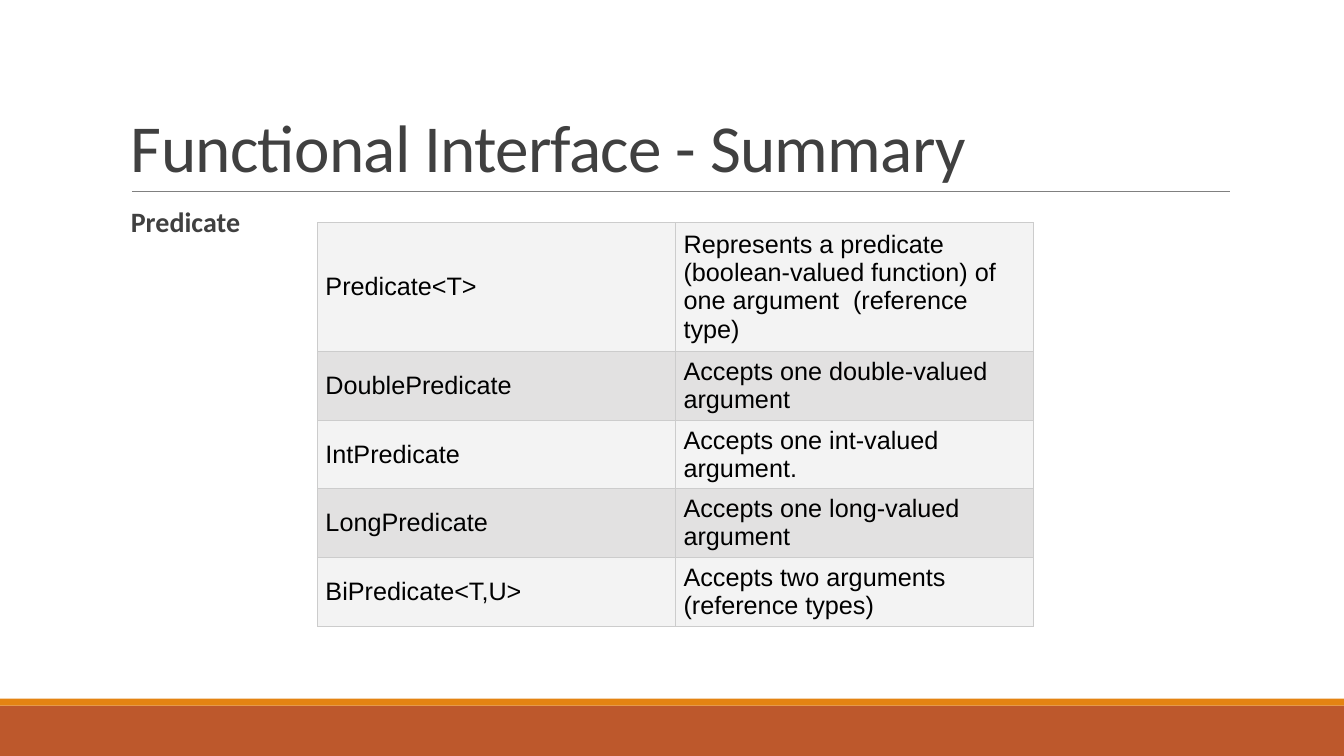
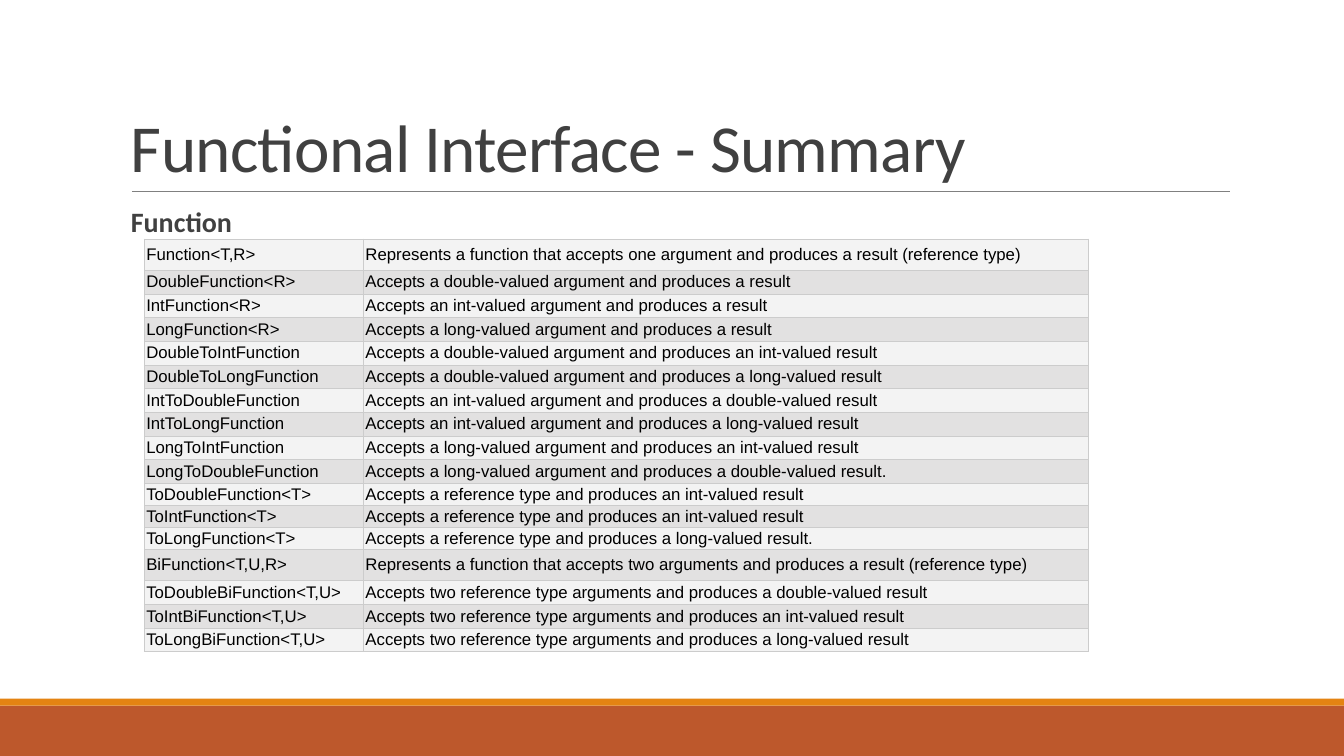
import pptx
import pptx.dml.color
import pptx.enum.shapes
import pptx.enum.text
import pptx.oxml.ns
import pptx.util
from lxml import etree

Pt = pptx.util.Pt
ANCHOR = pptx.enum.text.MSO_ANCHOR

COLORS = {
    "band": "BD582C",
    "stripe": "E48312",
    "rule": "808080",
    "heading": "404040",
    "cell_text": "000000",
    "odd_row": "F3F3F3",
    "even_row": "E2E1E1",
    "border": "CCCCCC",
}
PAGE_WIDTH, PAGE_HEIGHT = 960, 540
BAND_HEIGHT, STRIPE_HEIGHT = 36, 5
CONTENT_LEFT, CONTENT_WIDTH = 86.4, 792
RULE_LEFT, RULE_RIGHT, RULE_TOP = 94.3, 878.8, 136.8
HEADING_FONT, TABLE_FONT = "Calibri", "Arial"
TITLE = "Functional Interface - Summary"

PREDICATES = [
    ("Predicate<T>", "Represents a predicate (boolean-valued function) of one argument  (reference type)"),
    ("DoublePredicate", "Accepts one double-valued argument"),
    ("IntPredicate", "Accepts one int-valued argument."),
    ("LongPredicate", "Accepts one long-valued argument"),
    ("BiPredicate<T,U>", "Accepts two arguments  (reference types)"),
]
FUNCTIONS = [
    ("Function<T,R>", "Represents a function that accepts one argument and produces a result (reference type)"),
    ("DoubleFunction<R>", "Accepts a double-valued argument and produces a result"),
    ("IntFunction<R>", "Accepts an int-valued argument and produces a result"),
    ("LongFunction<R>", "Accepts a long-valued argument and produces a result"),
    ("DoubleToIntFunction", "Accepts a double-valued argument and produces an int-valued result"),
    ("DoubleToLongFunction", "Accepts a double-valued argument and produces a long-valued result"),
    ("IntToDoubleFunction", "Accepts an int-valued argument and produces a double-valued result"),
    ("IntToLongFunction", "Accepts an int-valued argument and produces a long-valued result"),
    ("LongToIntFunction", "Accepts a long-valued argument and produces an int-valued result"),
    ("LongToDoubleFunction", "Accepts a long-valued argument and produces a double-valued result."),
    ("ToDoubleFunction<T>", "Accepts a reference type and produces an int-valued result"),
    ("ToIntFunction<T>", "Accepts a reference type and produces an int-valued result"),
    ("ToLongFunction<T>", "Accepts a reference type and produces a long-valued result."),
    ("BiFunction<T,U,R>", "Represents a function that accepts two arguments and produces a result (reference type)"),
    ("ToDoubleBiFunction<T,U>", "Accepts two reference type arguments and produces a double-valued result"),
    ("ToIntBiFunction<T,U>", "Accepts two reference type arguments and produces an int-valued result"),
    ("ToLongBiFunction<T,U>", "Accepts two reference type arguments and produces a long-valued result"),
]


def color(name):
    return pptx.dml.color.RGBColor.from_string(COLORS[name])


def paint(target, name):
    target.fill.solid()
    target.fill.fore_color.rgb = color(name)


def style_span(span, font, size, color_name, bold=False):
    span.font.name = font
    span.font.size = Pt(size)
    span.font.bold = bold
    span.font.color.rgb = color(color_name)


def add_bar(page, top, height, color_name):
    bar = page.shapes.add_shape(pptx.enum.shapes.MSO_SHAPE.RECTANGLE,
                                0, Pt(top), Pt(PAGE_WIDTH), Pt(height))
    bar.shadow.inherit = False
    paint(bar, color_name)
    bar.line.fill.background()


def add_rule(page, left, right, top):
    rule = page.shapes.add_connector(pptx.enum.shapes.MSO_CONNECTOR.STRAIGHT,
                                     Pt(left), Pt(top), Pt(right), Pt(top))
    rule.line.color.rgb = color("rule")
    rule.line.width = Pt(0.5)
    etree.SubElement(rule._element.spPr, pptx.oxml.ns.qn("a:effectLst"))


def add_heading(page, text, top, height, size, anchor, line_spacing, bold=False):
    """Add a line of heading text across the content width; return its paragraph."""
    box = page.shapes.add_textbox(Pt(CONTENT_LEFT), Pt(top), Pt(CONTENT_WIDTH), Pt(height))
    frame = box.text_frame
    frame.word_wrap = True
    frame.vertical_anchor = anchor
    frame.text = text
    para = frame.paragraphs[0]
    para.line_spacing = line_spacing
    style_span(para.runs[0], HEADING_FONT, size, "heading", bold)
    return para


def add_frame(page, subtitle):
    """Add the bands, rule, title and subtitle that every slide carries."""
    band_top = PAGE_HEIGHT - BAND_HEIGHT
    add_bar(page, band_top, BAND_HEIGHT, "band")
    add_bar(page, band_top - STRIPE_HEIGHT, STRIPE_HEIGHT, "stripe")
    add_rule(page, RULE_LEFT, RULE_RIGHT, RULE_TOP)
    title = add_heading(page, TITLE, 22.3, 114.5, 48, ANCHOR.BOTTOM, 0.85)
    title.runs[0].font._element.set("spc", "-50")
    body = add_heading(page, subtitle, 145.4, 316.8, 20, ANCHOR.TOP, 0.9, bold=True)
    body.space_before = Pt(12)
    body.space_after = Pt(2)


def set_borders(cell, width):
    properties = cell._tc.get_or_add_tcPr()
    for index, side in enumerate(("lnL", "lnR", "lnT", "lnB")):
        line = etree.Element(pptx.oxml.ns.qn("a:" + side), w=str(Pt(width)))
        fill = etree.SubElement(line, pptx.oxml.ns.qn("a:solidFill"))
        etree.SubElement(fill, pptx.oxml.ns.qn("a:srgbClr"), val=COLORS["border"])
        properties.insert(index, line)


def fill_cell(cell, text, size, margins, fill_name):
    cell.margin_left = cell.margin_right = Pt(margins[0])
    cell.margin_top = cell.margin_bottom = Pt(margins[1])
    cell.vertical_anchor = ANCHOR.MIDDLE
    paint(cell, fill_name)
    set_borders(cell, 0.6)
    cell.text_frame.text = text
    style_span(cell.text_frame.paragraphs[0].runs[0], TABLE_FONT, size, "cell_text")


def add_interface_table(page, left, top, entries, widths, heights, size, margins):
    """Add a striped table of interface names and what they do."""
    table = page.shapes.add_table(len(entries), len(widths), Pt(left), Pt(top),
                                  Pt(sum(widths)), Pt(sum(heights))).table
    table.first_row = False
    table.horz_banding = False
    for column, width in zip(table.columns, widths):
        column.width = Pt(width)
    for index, (row, height, entry) in enumerate(zip(table.rows, heights, entries)):
        row.height = Pt(height)
        fill_name = "even_row" if index % 2 else "odd_row"
        for cell, text in zip(row.cells, entry):
            fill_cell(cell, text, size, margins, fill_name)


def add_summary_page(deck, subtitle, **table_options):
    page = deck.slides.add_slide(deck.slide_layouts[6])
    add_frame(page, subtitle)
    add_interface_table(page, **table_options)


def main():
    deck = pptx.Presentation()
    deck.slide_width = Pt(PAGE_WIDTH)
    deck.slide_height = Pt(PAGE_HEIGHT)
    add_summary_page(deck, "Predicate", left=226.8, top=158.9, entries=PREDICATES,
                     widths=[255.8] * 2, heights=[87] + [46.3] * 4,
                     size=18, margins=(5.7, 2.9))
    tall, normal, tight = 22.3, 16.9, 15.2
    add_summary_page(deck, "Function", left=103, top=170.8, entries=FUNCTIONS,
                     widths=[156.6, 517.6],
                     heights=[tall] + [normal] * 9 + [tight] * 3 + [tall] + [normal] * 3,
                     size=12, margins=(1.5, 0.7))
    deck.save("out.pptx")


if __name__ == "__main__":
    main()
